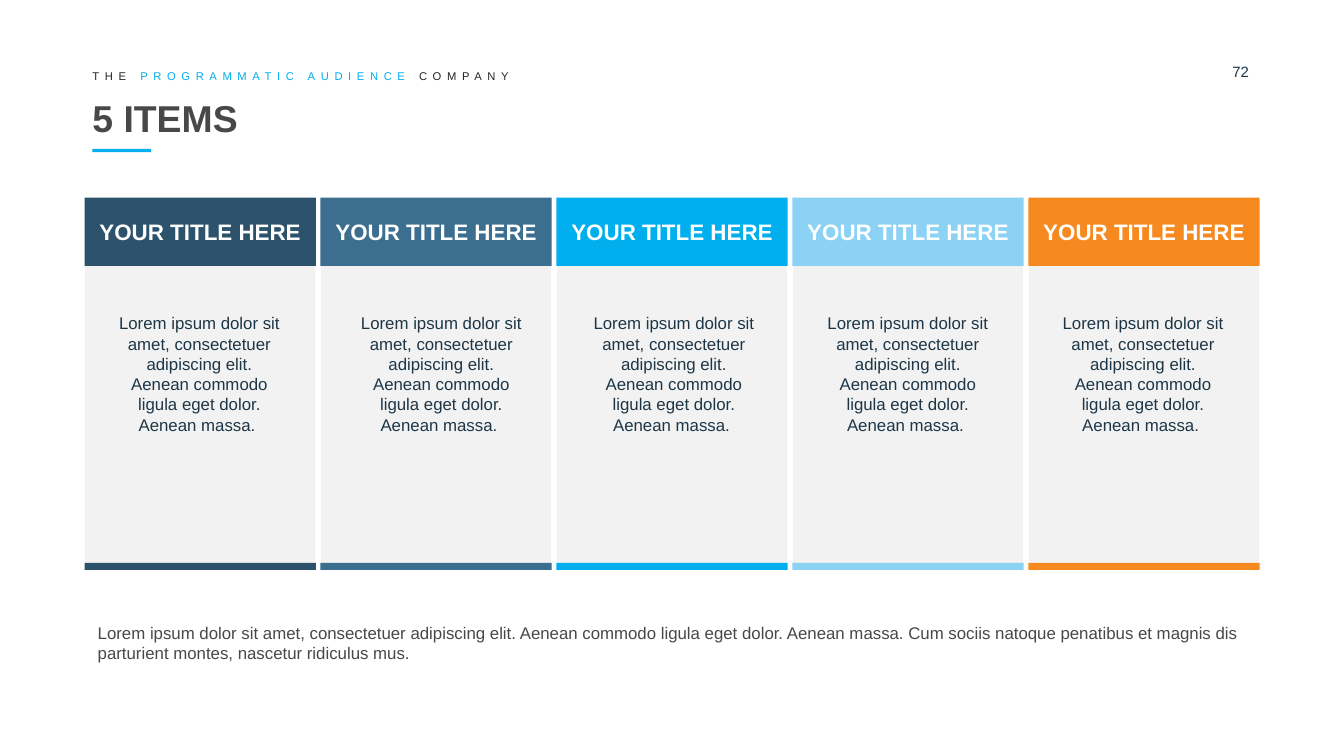
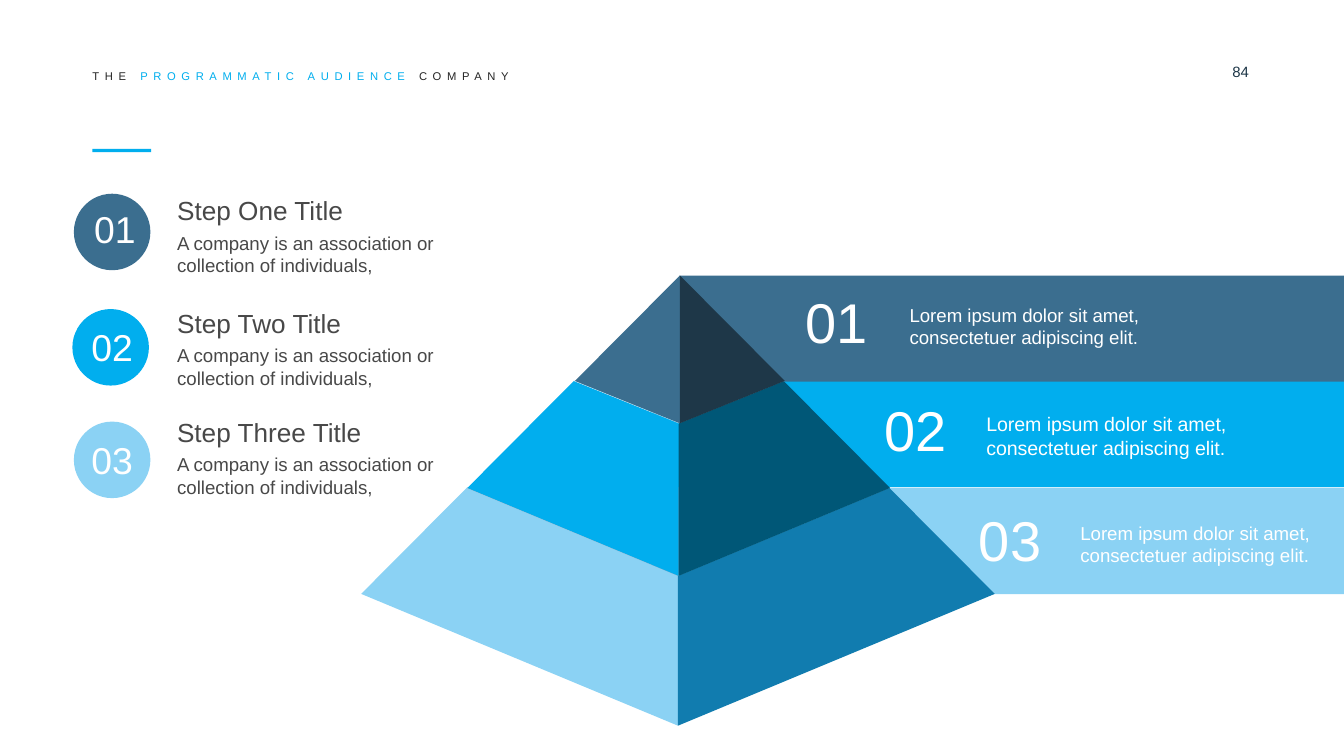
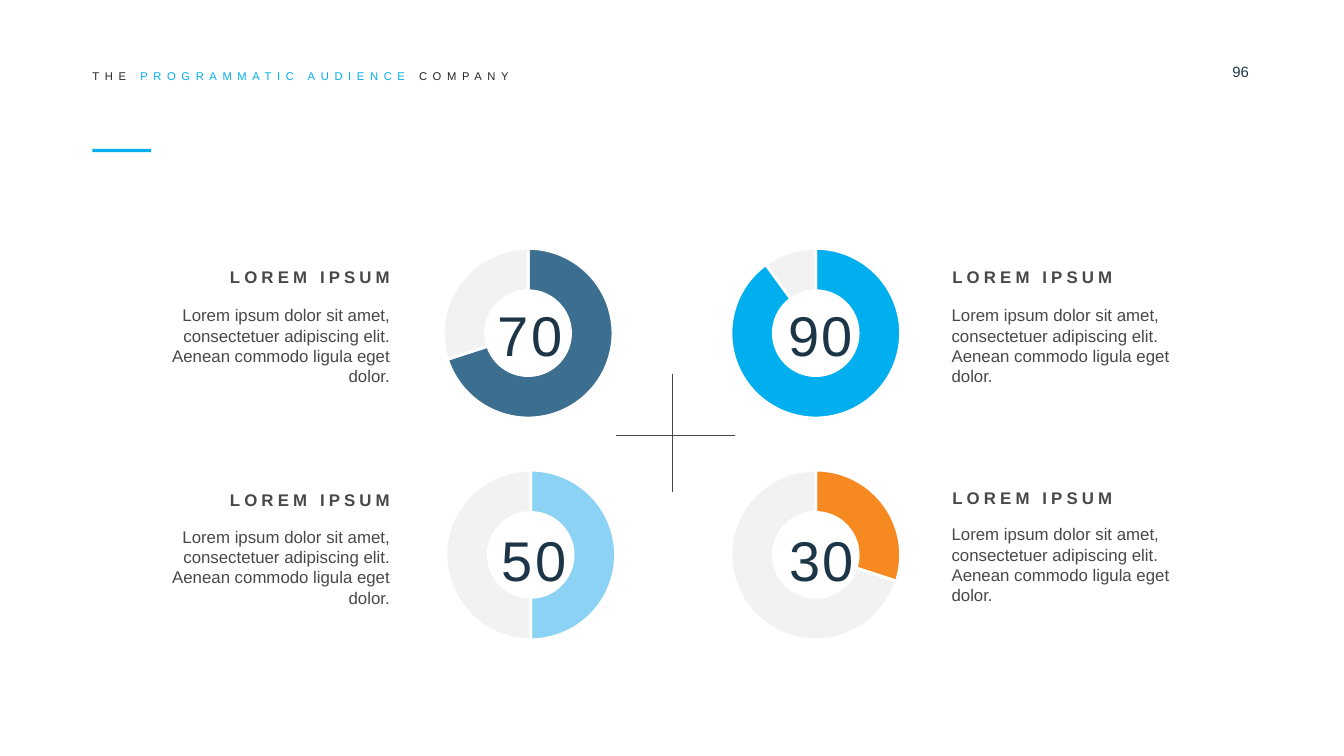
"""Build three slides: five columns, a pyramid and four ring charts."""
from lxml import etree
from pptx import Presentation
from pptx.chart.data import CategoryChartData
from pptx.dml.color import RGBColor
from pptx.enum import chart as kinds, shapes, text
from pptx.oxml import parse_xml
from pptx.oxml.ns import nsdecls, qn
from pptx.util import Pt

FACE = "Arial"
WHITE, PALE, GREY, INK = "FFFFFF", "F2F2F2", "484848", "1D3647"
NAVY, STEEL, BLUE, SKY, GOLD = "2C536B", "3B6E8F", "01AEEE", "8BD2F4", "F6891F"
LEFT, MID, RIGHT = text.PP_ALIGN.LEFT, text.PP_ALIGN.CENTER, text.PP_ALIGN.RIGHT
RECT, OVAL = shapes.MSO_SHAPE.RECTANGLE, shapes.MSO_SHAPE.OVAL
INSETS = (7.2, 3.6)
LOREM = "Lorem ipsum dolor sit amet, consectetuer adipiscing elit."


def color(code):
    """Turn a hex string into a colour."""
    return RGBColor.from_string(code)


def style(font, size, code, bold=False):
    """Set face, size, colour and weight of a font."""
    font.name, font.size, font.bold = FACE, Pt(size), bold
    font.color.rgb = color(code)


def fit(frame, inset=INSETS, middle=False, wrap=True):
    """Set margins, anchor and wrapping of a text frame."""
    frame.word_wrap = wrap
    frame.margin_left = frame.margin_right = Pt(inset[0])
    frame.margin_top = frame.margin_bottom = Pt(inset[1])
    anchor = text.MSO_ANCHOR
    frame.vertical_anchor = anchor.MIDDLE if middle else anchor.TOP


def write(frame, words, size, code, align=LEFT, bold=False, gap=0):
    """Write lines of one style, with optional letter spacing in points."""
    for i, line in enumerate(words.split("\n")):
        para = frame.add_paragraph() if i else frame.paragraphs[0]
        run = para.add_run()
        run.text = line
        para.alignment = align
        style(para.font, size, code, bold)
        if gap:
            space(run, gap)


def space(run, gap):
    """Set the letter spacing of a run."""
    run._r.get_or_add_rPr().set("spc", str(round(gap * 100)))


def label(slide, box, words, size, code, align=LEFT, bold=False, gap=0, **fits):
    """Add a text box."""
    frame = slide.shapes.add_textbox(*map(Pt, box)).text_frame
    fit(frame, **fits)
    write(frame, words, size, code, align, bold, gap)


def paint(shape, code):
    """Give a shape a plain fill without line or shadow."""
    shape.shadow.inherit = False
    shape.fill.solid()
    shape.fill.fore_color.rgb = color(code)
    shape.line.fill.background()
    return shape


def block(slide, box, code, kind=RECT):
    """Add a filled preset shape."""
    return paint(slide.shapes.add_shape(kind, *map(Pt, box)), code)


def facet(slide, points, code):
    """Add a filled polygon."""
    spots = [(Pt(x), Pt(y)) for x, y in points]
    form = slide.shapes.build_freeform(*spots[0])
    form.add_line_segments(spots[1:], close=True)
    paint(form.convert_to_shape(), code)


def line(slide, start, end):
    """Add a thin straight line."""
    link = slide.shapes.add_connector(
        shapes.MSO_CONNECTOR.STRAIGHT, *map(Pt, start + end))
    link.line.color.rgb = color(GREY)
    link.line.width = Pt(0.5)
    etree.SubElement(link._element.spPr, qn("a:effectLst"))


def ring(slide, box, value, code):
    """Add a doughnut chart that shows a share of one hundred."""
    data = CategoryChartData()
    data.categories = ["1", "2"]
    data.add_series("Series 1", (value, 100 - value))
    chart = slide.shapes.add_chart(
        kinds.XL_CHART_TYPE.DOUGHNUT, *map(Pt, box), data).chart
    chart.has_legend = chart.has_title = False
    style(chart.font, 10, GREY)
    plot = chart.plots[0]
    plot.vary_by_categories = True
    plot.has_data_labels = False
    for i, tone in enumerate((code, PALE)):
        part = plot.series[0].points[i].format
        part.fill.solid()
        part.fill.fore_color.rgb = color(tone)
        part.line.color.rgb = color(WHITE)
        part.line.width = Pt(1.5)
    area = chart._chartSpace.find(".//" + qn("c:plotArea"))
    area.find(".//" + qn("c:holeSize")).set("val", "85")
    for old in area.findall(qn("c:layout")):
        area.remove(old)
    marks = (("layoutTarget", "inner"), ("xMode", "edge"), ("yMode", "edge"),
             ("x", 0.16), ("y", 0.09), ("w", 0.68), ("h", 0.82))
    inner = "".join(f'<c:{tag} val="{val}"/>' for tag, val in marks)
    area.insert(0, parse_xml(
        f'<c:layout {nsdecls("c")}><c:manualLayout>{inner}'
        '</c:manualLayout></c:layout>'))


def start(deck, page, title=None):
    """Add a slide with tagline, accent bar, page number and any title."""
    slide = deck.slides.add_slide(deck.slide_layouts[5 if title else 6])
    block(slide, (49.5, 79.8, 31.5, 1.7), BLUE)
    if title:
        head = slide.shapes.title
        head.left, head.top, head.width, head.height = map(
            Pt, (49.5, 49.7, 620.6, 26.6))
        fit(head.text_frame, (0, 0), True)
        write(head.text_frame, title, 20, GREY, bold=True)
    label(slide, (660.2, 33.8, 31, 11.5), page, 8, INK, inset=(0, 0))
    frame = slide.shapes.add_textbox(*map(Pt, (49.5, 37, 516, 7))).text_frame
    fit(frame, (0, 0), True)
    para = frame.paragraphs[0]
    para.font.name, para.font.size = FACE, Pt(6)
    for words, code in (("THE ", "242424"), ("PROGRAMMATIC AUDIENCE ", BLUE),
                        ("COMPANY", "242424")):
        run = para.add_run()
        run.text = words
        run.font.color.rgb = color(code)
        space(run, 3)
    return slide


def columns(deck):
    """Build the slide of five columns."""
    slide = start(deck, "72", "5 ITEMS")
    cards = ((NAVY, 10), (STEEL, 13.2), (BLUE, 11.4), (SKY, 10.3), (GOLD, 9.9))
    for i, (code, shift) in enumerate(cards):
        x = 45.3 + 126.4 * i
        block(slide, (x + 0.4, 142.5, 123.2, 159.3), PALE)
        head = block(slide, (x, 105.9, 123.9, 36.6), code).text_frame
        fit(head, middle=True)
        write(head, "YOUR TITLE HERE", 12, WHITE, MID, True)
        block(slide, (x, 301.6, 123.9, 3.8), code)
        label(slide, (x + shift, 164.2, 103, 72.7),
              LOREM + " Aenean commodo ligula eget dolor. Aenean massa. ",
              9, INK, MID)
    label(slide, (45.3, 329.8, 629.3, 28.8),
          LOREM + " Aenean commodo ligula eget dolor. Aenean massa. Cum sociis"
          " natoque penatibus et magnis dis parturient montes, nascetur"
          " ridiculus mus.\u00a0".replace("\u00a0", " ").rstrip(), 9, GREY)


def pyramid(deck):
    """Build the slide of the three-level pyramid."""
    slide = start(deck, "84")
    rims = ((147.6, 0, 147.6), (204.1, 56.2, 226.8),
            (261.4, 113.2, 308.5), (318.2, 169.7, 388.8))
    tiers = ((364.2, 364.2, STEEL, "1E3748", None),
             (349.2, 363.6, BLUE, "005777", ("B9E4F8", 182.9)),
             (349.2, 363.2, SKY, "117CAF", ("7CABC9", 218.9)))
    for i in (2, 1, 0):
        edge, x, code, dark, cap = tiers[i]
        (top, near, inner), (low, far, outer) = rims[i:i + 2]
        block(slide, (edge, top, 720 - edge, 56.9), code)
        for side, tone in ((-1, code), (1, dark)):
            points = [(x + side * far, low), (x, outer), (x, inner)]
            if near:
                points.append((x + side * near, top))
            facet(slide, points, tone)
        if cap:
            facet(slide, [(x - near, top), (x, cap[1]),
                          (x + near, top), (x, inner)], cap[0])
    notes = ((421.9, 151.9, 480.2, 159.1, 10), (464.4, 209.5, 521.3, 217.4, 10.5),
             (514.8, 268.6, 571.7, 275.8, 10))
    for i, (x, y, left, top, size) in enumerate(notes, 1):
        label(slide, (x, y, 52.6, 40.3), f"0{i}", 30, WHITE, MID,
              inset=(0, 0), middle=True)
        label(slide, (left, top, 169.2, 32.4), LOREM, size, WHITE)
    steps = (("One", STEEL, 39.6, 103.8, 35.3, 102.2, 100.8),
             ("Two", BLUE, 38.8, 165.6, 33.8, 165.6, 161.2),
             ("Three", SKY, 39.6, 225.9, 33.8, 226.1, 219.6))
    for i, (name, code, x, y, left, top, head) in enumerate(steps, 1):
        block(slide, (x, y, 41, 41), code, OVAL)
        label(slide, (87.8, head + 19.7, 174.2, 32.4),
              "A company is an association or\ncollection of individuals,",
              10, GREY)
        label(slide, (87.8, head, 114 if i == 3 else 103.5, 24.5),
              f"Step {name} Title", 14, GREY, wrap=False)
        label(slide, (left, top, 52.6, 40.3), f"0{i}", 20, WHITE, MID,
              inset=(0, 0), middle=True)


def rings(deck):
    """Build the slide of four ring charts."""
    slide = start(deck, "96")
    items = ((70, STEEL, 216, 123.1, 241.9, 157.7, 142.6, 163.4),
             (90, BLUE, 370.1, 123.1, 397.4, 157.7, 142.6, 163.4),
             (50, SKY, 217.4, 241.9, 244.1, 277.9, 262.1, 282.2),
             (30, GOLD, 370.1, 241.9, 398.2, 277.9, 261.4, 280.8))
    for value, code, x, y, left, top, head, body in items:
        ring(slide, (x, y, 133.9, 110.9), value, code)
        label(slide, (left, top, 84.2, 43.9), str(value), 30, INK, MID, gap=1.1)
        west = x < 360
        align = RIGHT if west else LEFT
        label(slide, (119.5 if west else 510.2, head, 89.3, 10.8),
              "LOREM IPSUM", 9, GREY, align, True, 2.2,
              inset=(0, 0), wrap=False)
        label(slide, (89.3 if west else 509.8, body, 119.5 if west else 129.6, 43.9),
              LOREM + " Aenean commodo ligula eget dolor.", 9, GREY, align,
              inset=(0, 0))
    line(slide, (360.5, 200.2), (360.5, 263.5))
    line(slide, (393.8, 233.3), (329.8, 233.3))


def main():
    """Build and save the deck."""
    deck = Presentation()
    deck.slide_width, deck.slide_height = Pt(720), Pt(405)
    columns(deck)
    pyramid(deck)
    rings(deck)
    deck.save("out.pptx")


if __name__ == "__main__":
    main()
